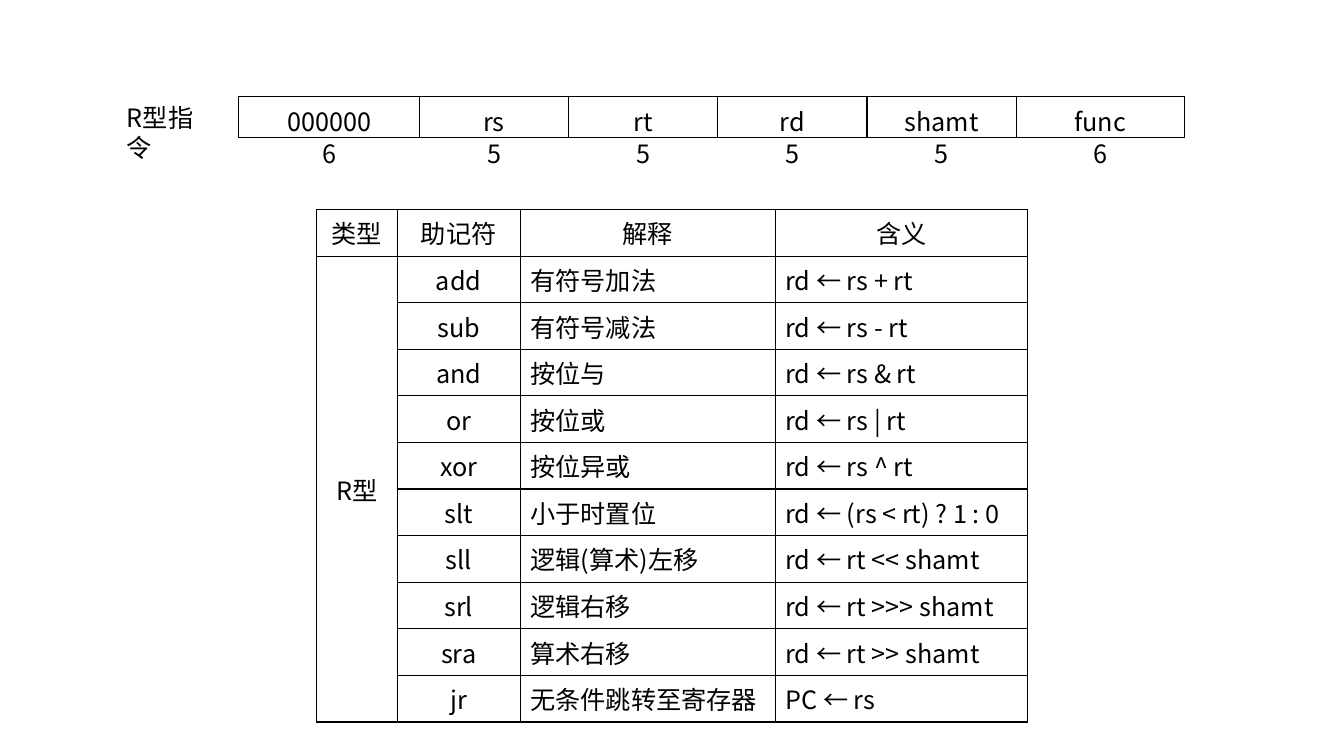
import lxml.etree
import pptx
import pptx.dml.color
import pptx.enum.text
import pptx.oxml.ns
import pptx.util

Cm = pptx.util.Cm
ALIGN = pptx.enum.text.PP_ALIGN
MIDDLE = pptx.enum.text.MSO_ANCHOR.MIDDLE
BLACK = pptx.dml.color.RGBColor(0, 0, 0)
FONT = "Noto Sans CJK SC"
ROW_HEIGHT = 1.03
FIELD_LEFT, FIELD_TOP = 6.02, 2.44
FIELDS = [
    ("000000", 6, 4.55),
    ("rs", 5, 3.76),
    ("rt", 5, 3.76),
    ("rd", 5, 3.76),
    ("shamt", 5, 3.76),
    ("func", 6, 4.24),
]
INSTRUCTION_WIDTHS = [2.03, 3.1, 6.43, 6.35]
INSTRUCTIONS = [
    ("类型", "助记符", "解释", "含义"),
    ("R型", "add", "有符号加法", "rd ← rs + rt"),
    ("", "sub", "有符号减法", "rd ← rs - rt"),
    ("", "and", "按位与", "rd ← rs & rt"),
    ("", "or", "按位或", "rd ← rs | rt"),
    ("", "xor", "按位异或", "rd ← rs ^ rt"),
    ("", "slt", "小于时置位", "rd ← (rs < rt) ? 1 : 0"),
    ("", "sll", "逻辑(算术)左移", "rd ← rt << shamt"),
    ("", "srl", "逻辑右移", "rd ← rt >>> shamt"),
    ("", "sra", "算术右移", "rd ← rt >> shamt"),
    ("", "jr", "无条件跳转至寄存器", "PC ← rs"),
]


def write(text_frame, text, alignment):
    """Fill a text frame with one paragraph in the slide's font."""
    paragraph = text_frame.paragraphs[0]
    paragraph.text = text
    paragraph.alignment = alignment
    paragraph.font.size = pptx.util.Pt(18)
    paragraph.font.color.rgb = BLACK
    paragraph.font.name = FONT
    latin = next(paragraph._p.iter(pptx.oxml.ns.qn("a:latin")))
    east_asian = lxml.etree.Element(pptx.oxml.ns.qn("a:ea"), typeface=FONT)
    latin.addnext(east_asian)


def add_borders(cell):
    """Draw a thin black line on all four sides of a cell."""
    properties = cell._tc.get_or_add_tcPr()
    for position, side in enumerate(("lnL", "lnR", "lnT", "lnB")):
        line = lxml.etree.Element(pptx.oxml.ns.qn(f"a:{side}"), w="12700")
        fill = lxml.etree.SubElement(line, pptx.oxml.ns.qn("a:solidFill"))
        lxml.etree.SubElement(fill, pptx.oxml.ns.qn("a:srgbClr"), val=str(BLACK))
        properties.insert(position, line)


def add_grid(slide, left, top, widths, rows, left_columns=()):
    """Add a plain bordered table and return it."""
    frame = slide.shapes.add_table(
        len(rows), len(widths), Cm(left), Cm(top),
        Cm(sum(widths)), Cm(ROW_HEIGHT * len(rows)),
    )
    table = frame.table
    table.first_row = table.horz_banding = False
    for column, width in zip(table.columns, widths):
        column.width = Cm(width)
    for row_index, texts in enumerate(rows):
        table.rows[row_index].height = Cm(ROW_HEIGHT)
        for column_index, text in enumerate(texts):
            cell = table.cell(row_index, column_index)
            is_left = row_index > 0 and column_index in left_columns
            write(cell.text_frame, text, ALIGN.LEFT if is_left else ALIGN.CENTER)
            cell.vertical_anchor = MIDDLE
            cell.fill.background()
            add_borders(cell)
    return table


def add_label(slide, left, top, width, text, alignment):
    """Add a one-paragraph text box."""
    shape = slide.shapes.add_textbox(Cm(left), Cm(top), Cm(width), Cm(1.02))
    shape.text_frame.word_wrap = True
    write(shape.text_frame, text, alignment)


def add_instruction_format(slide):
    """Add the R-type field strip with its bit widths."""
    names, bits, widths = zip(*FIELDS)
    add_label(slide, 2.95, 2.46, 2.79, "R型指令", ALIGN.LEFT)
    add_grid(slide, FIELD_LEFT, FIELD_TOP, widths, [names])
    left = FIELD_LEFT
    for bit_count, width in zip(bits, widths):
        add_label(slide, left + width / 2 - 0.43, 3.35, 0.86, str(bit_count), ALIGN.CENTER)
        left += width


def main():
    """Build and save the slide."""
    presentation = pptx.Presentation()
    presentation.slide_width = Cm(33.87)
    presentation.slide_height = Cm(19.05)
    slide = presentation.slides.add_slide(presentation.slide_layouts[6])
    table = add_grid(slide, 7.98, 5.28, INSTRUCTION_WIDTHS, INSTRUCTIONS, left_columns=(2, 3))
    table.cell(1, 0).merge(table.cell(len(INSTRUCTIONS) - 1, 0))
    add_instruction_format(slide)
    presentation.save("out.pptx")


if __name__ == "__main__":
    main()
